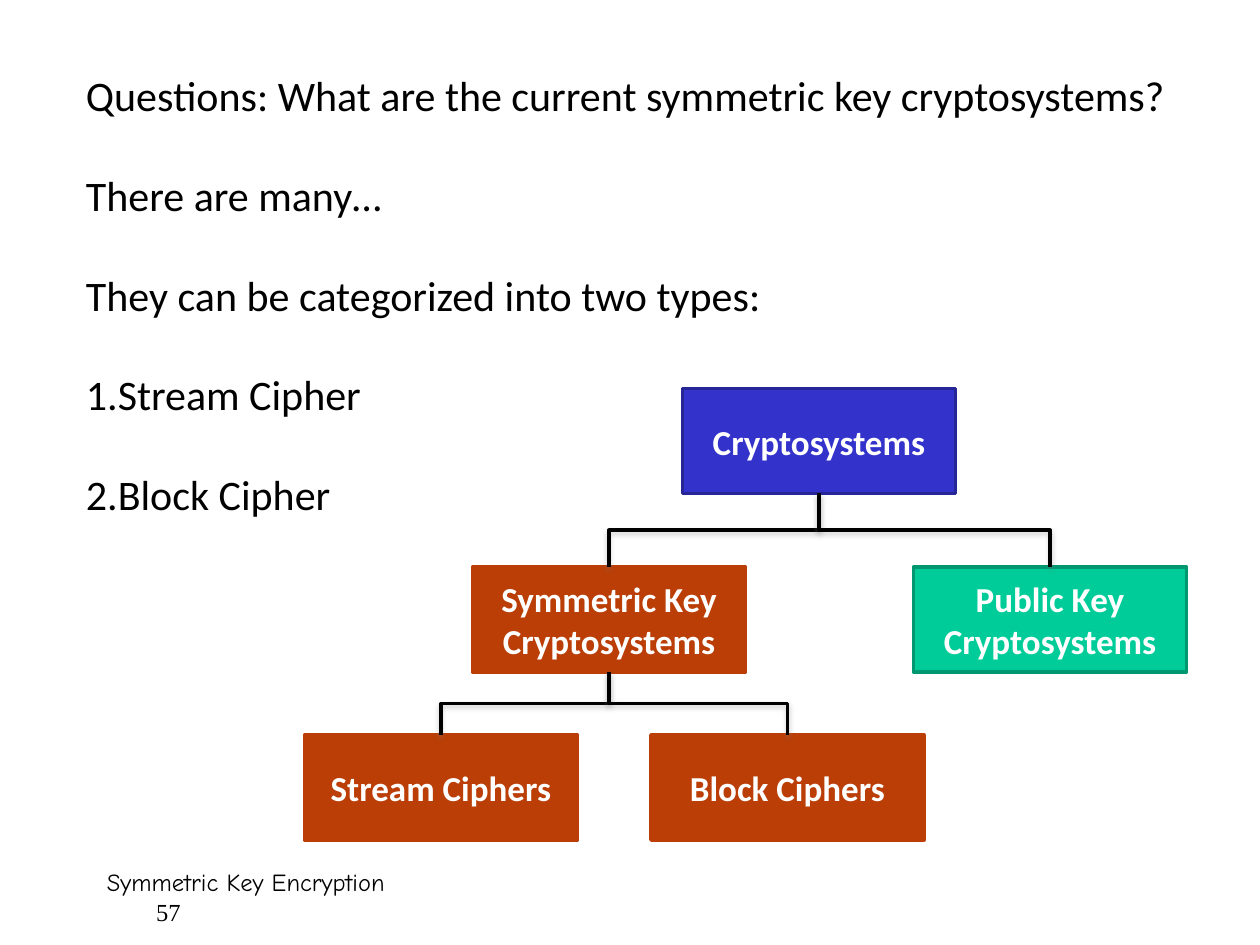
"""Builds a slide that sorts symmetric key cryptosystems in a tree."""
from lxml.etree import SubElement
from pptx import Presentation
from pptx.dml.color import RGBColor
from pptx.enum.shapes import MSO_CONNECTOR as CONN, MSO_SHAPE as SHAPE
from pptx.enum.text import MSO_ANCHOR as ANCHOR, PP_ALIGN as ALIGN
from pptx.oxml.ns import qn
from pptx.util import Inches, Pt

BLACK = RGBColor(0, 0, 0)
WHITE = RGBColor(0xFF, 0xFF, 0xFF)
BLUE, NAVY = RGBColor(0x33, 0x33, 0xCC), RGBColor(0x26, 0x26, 0x97)
RUST = RGBColor(0xBA, 0x3E, 0x06)
GREEN, PINE = RGBColor(0x00, 0xCC, 0x99), RGBColor(0x00, 0x97, 0x71)

CELL = Inches(1) // 12
BODY = (7, 6, 106, 45)
FOOTER = (9, 82, 103, 6)
BOX_W, BOX_H = 26, 10

STATEMENTS = [
    "Questions: What are the current symmetric key cryptosystems?",
    "There are many…",
    "They can be categorized into two types:",
]
TYPES = ["Stream Cipher", "Block Cipher"]
NODES = {
    "root": ("Cryptosystems", 65, 37, BLUE, NAVY),
    "symmetric": ("Symmetric Key Cryptosystems", 45, 54, RUST, RUST),
    "stream": ("Stream Ciphers", 29, 70, RUST, RUST),
    "block": ("Block Ciphers", 62, 70, RUST, RUST),
    "public": ("Public Key Cryptosystems", 87, 54, GREEN, PINE),
}
LINKS = [("root", "symmetric"), ("root", "public"),
         ("symmetric", "stream"), ("symmetric", "block")]


def add_text(tf, text, size=24, font="Calibri", color=BLACK, bold=False,
             align=ALIGN.LEFT, before=0, indent=0, numbered=False):
    p = tf.paragraphs[0] if not tf.text else tf.add_paragraph()
    p.alignment = align
    p.space_before = Pt(before)
    pPr = p._p.get_or_add_pPr()
    pPr.set("marL", str(Inches(indent)))
    pPr.set("indent", "0")
    if numbered:
        SubElement(pPr, qn("a:buAutoNum"), type="arabicPeriod")
    r = p.add_run()
    r.text = text
    r.font.size, r.font.name, r.font.bold = Pt(size), font, bold
    r.font.color.rgb = color


def add_frame(slide, place):
    tf = slide.shapes.add_textbox(*(v * CELL for v in place)).text_frame
    tf.word_wrap = True
    return tf


def add_node(slide, text, col, row, fill, line):
    place = (v * CELL for v in (col, row, BOX_W, BOX_H))
    s = slide.shapes.add_shape(SHAPE.RECTANGLE, *place)
    s.shadow.inherit = False
    s.fill.solid()
    s.fill.fore_color.rgb = fill
    s.line.color.rgb, s.line.width = line, Pt(2)
    s.text_frame.word_wrap = True
    s.text_frame.vertical_anchor = ANCHOR.MIDDLE
    add_text(s.text_frame, text, size=20, color=WHITE, bold=True,
             align=ALIGN.CENTER)
    return s


def add_link(slide, parent, child):
    x1, y1 = parent.left + parent.width // 2, parent.top + parent.height
    x2, y2 = child.left + child.width // 2, child.top
    cx, cy = (x1 + x2) // 2, (y1 + y2) // 2
    half_w, half_h = (y2 - y1) // 2, abs(x2 - x1) // 2
    turn = 90 if x2 < x1 else 270
    if turn == 270:
        half_w = -half_w
    s = slide.shapes.add_connector(CONN.ELBOW, cx - half_w, cy - half_h,
                                   cx + half_w, cy + half_h)
    s.line.color.rgb, s.line.width = BLACK, Pt(2)
    spPr = s._element.spPr
    spPr.xfrm.set("rot", str(turn * 60000))
    effects = SubElement(spPr, qn("a:effectLst"))
    shadow = SubElement(effects, qn("a:outerShdw"), blurRad=str(Pt(3.1)),
                        dist=str(Pt(1.6)), dir="5400000", rotWithShape="0")
    tint = SubElement(shadow, qn("a:srgbClr"), val="808080")
    SubElement(tint, qn("a:alpha"), val="38000")


def main():
    prs = Presentation()
    prs.slide_width, prs.slide_height = Inches(10), Inches(7.5)
    slide = prs.slides.add_slide(prs.slide_layouts[6])

    footer = add_frame(slide, FOOTER)
    add_text(footer, "Symmetric Key Encryption", size=14, font="Comic Neue")
    add_text(footer, "57", size=14, font="Times New Roman", indent=0.39)

    body = add_frame(slide, BODY)
    for i, text in enumerate(STATEMENTS + TYPES):
        add_text(body, text, before=28.3 if i else 0,
                 numbered=i >= len(STATEMENTS))

    boxes = {key: add_node(slide, *node) for key, node in NODES.items()}
    for parent, child in LINKS:
        add_link(slide, boxes[parent], boxes[child])

    prs.save("out.pptx")


if __name__ == "__main__":
    main()
